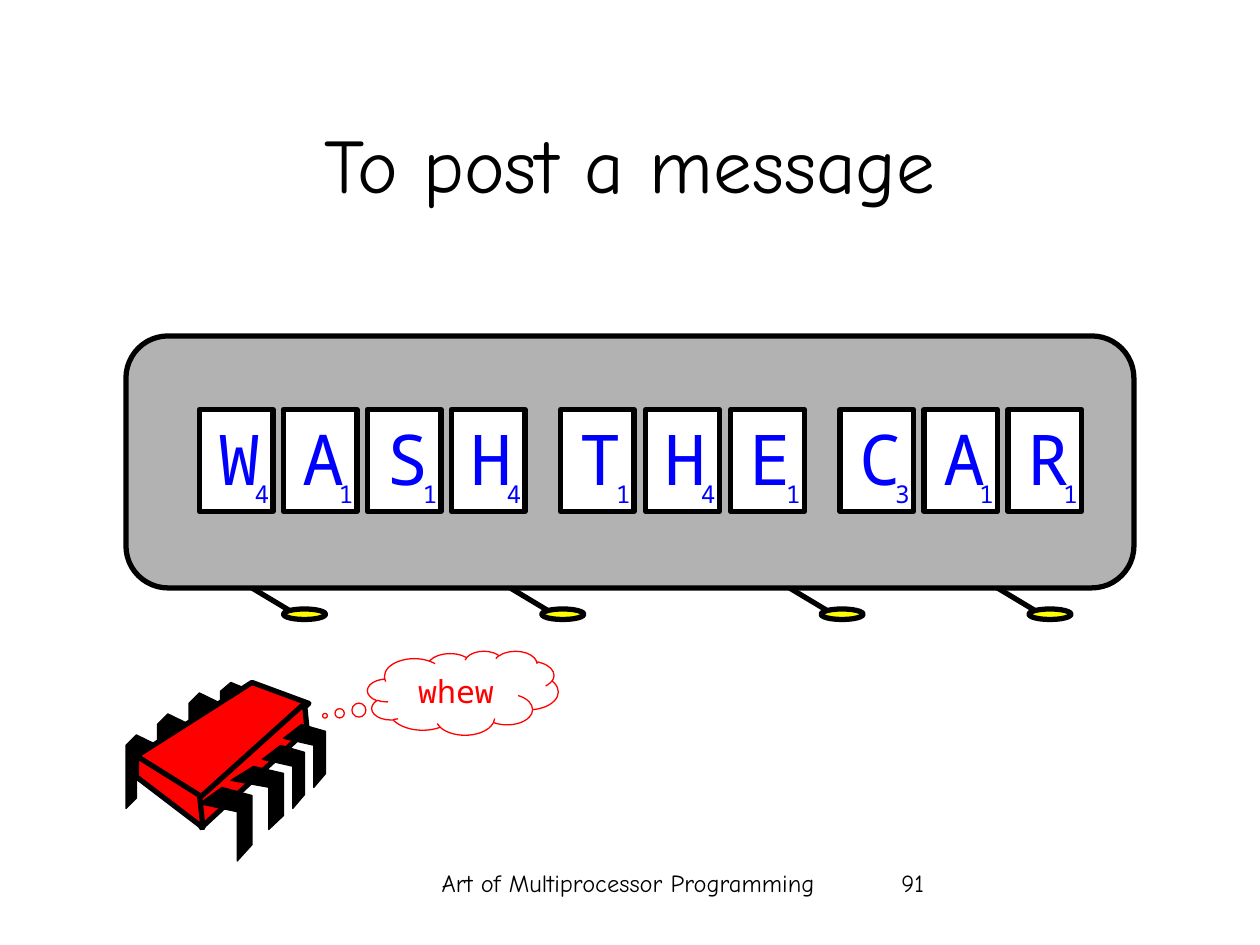
from dataclasses import dataclass

from lxml.etree import SubElement
from pptx import Presentation
from pptx.dml.color import RGBColor
from pptx.enum.shapes import MSO_CONNECTOR, MSO_SHAPE
from pptx.enum.text import MSO_ANCHOR, MSO_AUTO_SIZE, PP_ALIGN
from pptx.oxml.ns import qn
from pptx.util import Pt


@dataclass(frozen=True)
class Theme:
    black: RGBColor = RGBColor(0x00, 0x00, 0x00)
    white: RGBColor = RGBColor(0xFF, 0xFF, 0xFF)
    board: RGBColor = RGBColor(0xB2, 0xB2, 0xB2)
    red: RGBColor = RGBColor(0xFF, 0x00, 0x00)
    yellow: RGBColor = RGBColor(0xFF, 0xFF, 0x00)
    blue: RGBColor = RGBColor(0x00, 0x00, 0xFF)
    hand: str = "Comic Neue"
    mono: str = "Noto Sans Mono"
    title: float = 44
    letter: float = 40
    thought: float = 18
    small: float = 14
    thick: float = 3
    thin: float = 0.75


def apply(target, values):
    for name, value in values.items():
        setattr(target, name, value)


def box(left, top, width, height):
    return [Pt(length) for length in (left, top, width, height)]


class Scene:
    def __init__(self, slide, theme):
        self.slide = slide
        self.theme = theme

    def letter(self, holder, wording, size, face, color, align, **frame_format):
        frame = holder.text_frame
        frame.text = wording
        apply(frame, {"word_wrap": True, "vertical_anchor": MSO_ANCHOR.TOP,
                      "auto_size": MSO_AUTO_SIZE.NONE, **frame_format})
        paragraph = frame.paragraphs[0]
        apply(paragraph, {"alignment": align, "space_before": Pt(0)})
        apply(paragraph.font, {"size": Pt(size), "name": face})
        paragraph.font.color.rgb = color

    def paint(self, shape, fill, line, weight):
        shape.shadow.inherit = False
        if fill is None:
            shape.fill.background()
        else:
            shape.fill.solid()
            shape.fill.fore_color.rgb = fill
        shape.line.color.rgb = line
        shape.line.width = Pt(weight)
        return shape

    def title(self, wording, area):
        heading = self.slide.shapes.title
        apply(heading, dict(zip(("left", "top", "width", "height"), box(*area))))
        self.letter(heading, wording, self.theme.title, self.theme.hand, self.theme.black,
                    PP_ALIGN.CENTER, vertical_anchor=MSO_ANCHOR.MIDDLE)

    def label(self, wording, area, face, color, align, **frame_format):
        holder = self.slide.shapes.add_textbox(*box(*area))
        self.letter(holder, wording, self.theme.small, face, color, align, **frame_format)

    def preset(self, kind, area, fill, line, weight):
        shape = self.slide.shapes.add_shape(kind, *box(*area))
        return self.paint(shape, fill, line, weight)

    def outline(self, corners, fill, weight):
        first, *rest = [(Pt(x), Pt(y)) for x, y in corners]
        builder = self.slide.shapes.build_freeform(*first)
        builder.add_line_segments(rest, close=True)
        self.paint(builder.convert_to_shape(), fill, self.theme.black, weight)

    def leg(self, profile, left, top, width, height):
        corners = [(left + x * width, top + y * height) for x, y in profile]
        self.outline(corners, self.theme.black, self.theme.thin)

    def lamp(self, left):
        arm = self.slide.shapes.add_connector(
            MSO_CONNECTOR.STRAIGHT, Pt(left), Pt(336), Pt(left + 30), Pt(354))
        arm.line.color.rgb = self.theme.black
        arm.line.width = Pt(self.theme.thick)
        SubElement(arm._element.spPr, qn("a:effectLst"))
        self.preset(MSO_SHAPE.OVAL, (left + 18, 348, 24, 6),
                    self.theme.yellow, self.theme.black, self.theme.thick)

    def tile(self, character, score, left):
        theme = self.theme
        card = self.preset(MSO_SHAPE.RECTANGLE, (left, 234, 42, 58.3),
                           theme.white, theme.black, theme.thick)
        fit = {"auto_size": MSO_AUTO_SIZE.SHAPE_TO_FIT_TEXT}
        self.letter(card, character, theme.letter, theme.mono, theme.blue,
                    PP_ALIGN.RIGHT, **fit)
        self.label(score, (left + 24, 270, 23, 24), theme.mono, theme.blue,
                   PP_ALIGN.RIGHT, word_wrap=False, **fit)

    def thought(self, wording, area, tail):
        theme = self.theme
        cloud = self.preset(MSO_SHAPE.CLOUD_CALLOUT, area, None, theme.red, theme.thin)
        for index, offset in enumerate(tail):
            cloud.adjustments[index] = offset
        self.letter(cloud, wording, theme.thought, theme.mono, theme.red,
                    PP_ALIGN.CENTER, vertical_anchor=MSO_ANCHOR.MIDDLE)


BACK_LEG = [(1, 0.14), (0.33, 0), (0, 0.14), (0, 1), (0.33, 0.86), (0.33, 0.29), (1, 0.43)]
FRONT_LEG = [(0.43, 0), (0, 0.22), (0.72, 0.33), (0.72, 1), (1, 0.78), (1, 0.11)]
BACK_LEGS = [(72, 420, 18, 42), (90, 408, 18, 42), (108, 396, 18, 42), (126, 390, 18, 36)]
FRONT_LEGS = [(114, 450, 30, 42), (132, 438, 30, 36), (150, 426, 24, 36), (162, 414, 24, 36)]
CHIP_FACES = [
    [(144, 390), (78, 432), (115, 457), (176.5, 402)],
    [(174, 402), (114, 456), (115, 473), (175.5, 417)],
    [(78, 432), (78, 444), (116, 473), (114, 454.5)],
]
WORDS = [("WASH", "4114", 114, 48), ("THE", "141", 320.4, 48.6), ("CAR", "311", 480, 48)]
LAMPS = [144, 291.6, 451.2, 570]


def main():
    deck = Presentation()
    deck.slide_width, deck.slide_height = Pt(720), Pt(540)
    theme = Theme()
    scene = Scene(deck.slides.add_slide(deck.slide_layouts[5]), theme)

    scene.label("Art of Multiprocessor Programming", (245, 492.5, 228, 36),
                theme.hand, theme.black, PP_ALIGN.CENTER)
    scene.label("91", (508, 492.5, 150, 36), theme.hand, theme.black, PP_ALIGN.LEFT)
    scene.title("To post a message", (54, 48, 612, 90))

    board = scene.preset(MSO_SHAPE.ROUNDED_RECTANGLE, (72, 192, 576, 144),
                         theme.board, theme.black, theme.thick)
    board.adjustments[0] = 0.167

    for area in BACK_LEGS:
        scene.leg(BACK_LEG, *area)
    for corners in CHIP_FACES:
        scene.outline(corners, theme.red, theme.thick)
    for area in FRONT_LEGS:
        scene.leg(FRONT_LEG, *area)

    for left in LAMPS:
        scene.lamp(left)
    for word, scores, start, step in WORDS:
        for index, (character, score) in enumerate(zip(word, scores)):
            scene.tile(character, score, start + index * step)

    scene.thought("whew", (210, 372, 109, 48), (-0.723, 0.271))
    deck.save("out.pptx")


if __name__ == "__main__":
    main()
